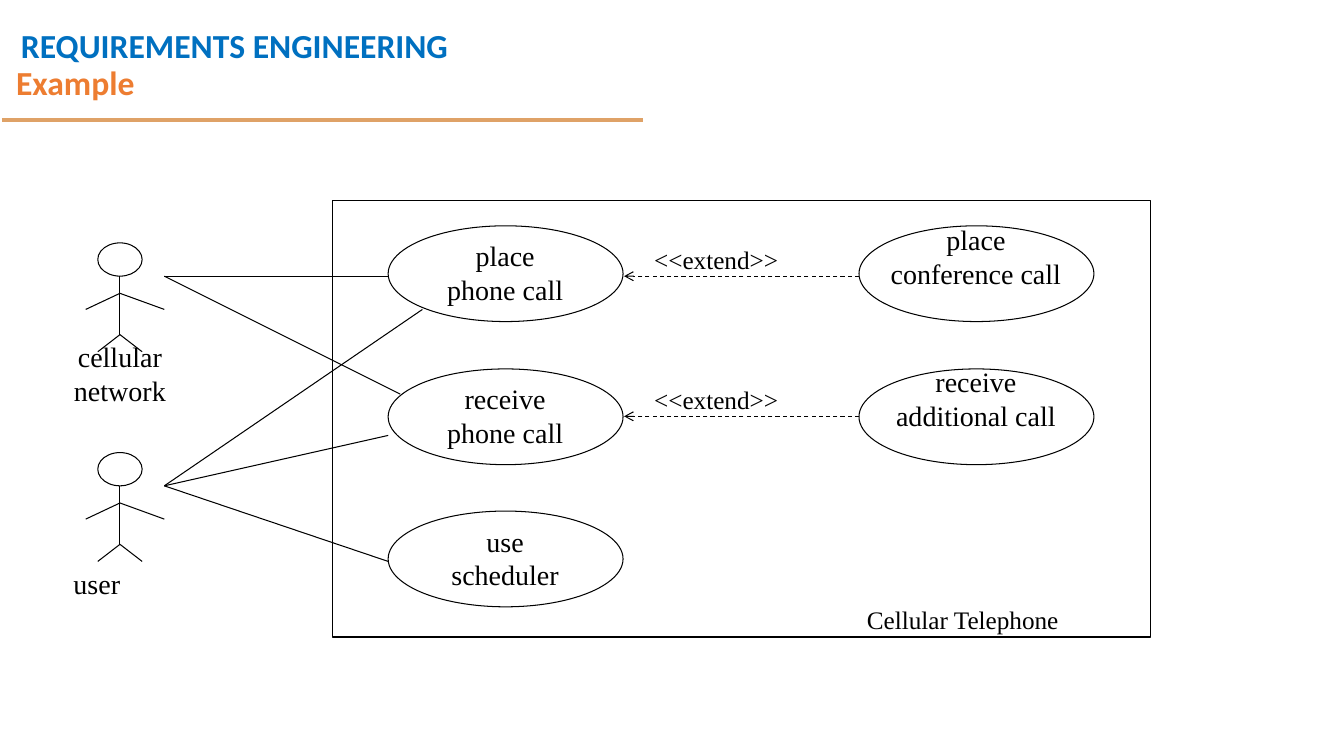
"""Build a use case diagram slide for a cellular telephone."""
from dataclasses import dataclass

import lxml.etree
import pptx
import pptx.dml.color
import pptx.enum.dml
import pptx.enum.shapes
import pptx.enum.text
import pptx.oxml.ns
import pptx.util

PX = 9144
BLACK = "000000"
SERIF = "Times New Roman"
SHAPE = pptx.enum.shapes.MSO_SHAPE
ALIGN = pptx.enum.text.PP_ALIGN
USE_CASE_SIZE = (233, 95)
LABEL_SIZE = (214, 77)


@dataclass(frozen=True)
class UseCase:
    left: int
    top: int
    lines: tuple[str, ...]
    label_shift: int = 8


@dataclass(frozen=True)
class Actor:
    top: int
    lines: tuple[str, ...]
    label: tuple[int, int, int, int]
    align: ALIGN


@dataclass(frozen=True)
class Link:
    start: tuple[int, int]
    end: tuple[int, int]


USE_CASES = (
    UseCase(385, 224, ("place", "phone call")),
    UseCase(385, 366, ("receive", "phone call")),
    UseCase(385, 507, ("use", "scheduler")),
    UseCase(852, 224, ("place", "conference call"), -8),
    UseCase(852, 366, ("receive", "additional call"), -9),
)
ACTORS = (
    Actor(241, ("cellular", "network"), (41, 332, 156, 77), ALIGN.CENTER),
    Actor(449, ("user",), (63, 557, 113, 43), ALIGN.LEFT),
)
NETWORK_HAND = (163, 274)
USER_HAND = (163, 482)
LINKS = (
    Link(NETWORK_HAND, (385, 274)),
    Link(NETWORK_HAND, (397, 391)),
    Link(USER_HAND, (419, 307)),
    Link(USER_HAND, (385, 432)),
    Link(USER_HAND, (385, 557)),
)
LIMBS = (
    Link((119, 33), (119, 91)),
    Link((119, 50), (163, 66)),
    Link((119, 50), (85, 66)),
    Link((119, 91), (141, 108)),
    Link((119, 91), (97, 108)),
)
EXTEND_LEVELS = (274, 413)


def px(value: int) -> pptx.util.Emu:
    """Turn pixels into EMU."""
    return pptx.util.Emu(value * PX)


def color(value: str) -> pptx.dml.color.RGBColor:
    """Turn a hex string into a colour."""
    return pptx.dml.color.RGBColor.from_string(value)


def write(box, lines: tuple[str, ...], *, size: int = 20, font: str = SERIF,
          fill: str = BLACK, bold: bool = False, align: ALIGN = ALIGN.LEFT,
          spacing: float = 1.0, wrap: bool = True) -> None:
    """Fill a box with one formatted paragraph per line."""
    frame = box.text_frame
    frame.word_wrap = wrap
    frame.auto_size = pptx.enum.text.MSO_AUTO_SIZE.NONE
    for index, line in enumerate(lines):
        para = frame.add_paragraph() if index else frame.paragraphs[0]
        para.alignment = align
        para.line_spacing = spacing
        span = para.add_run()
        span.text = line
        span.font.size = pptx.util.Pt(size)
        span.font.name = font
        span.font.bold = bold
        span.font.color.rgb = color(fill)


def add_text(page, left: int, top: int, width: int, height: int,
             lines: tuple[str, ...], **style) -> None:
    """Add a text box."""
    box = page.shapes.add_textbox(px(left), px(top), px(width), px(height))
    write(box, lines, **style)


def add_outline(page, kind: SHAPE, left: int, top: int, width: int, height: int) -> None:
    """Add an unfilled shape with a thin black outline."""
    shape = page.shapes.add_shape(kind, px(left), px(top), px(width), px(height))
    shape.shadow.inherit = False
    shape.fill.background()
    shape.line.color.rgb = color(BLACK)
    shape.line.width = pptx.util.Pt(0.75)


def add_line(page, link: Link, *, shift: int = 0, stroke: str = BLACK,
             weight: float = 0.75, dashed_arrow: bool = False) -> None:
    """Add a straight line, optionally as a dashed arrow."""
    (x1, y1), (x2, y2) = link.start, link.end
    line = page.shapes.add_connector(
        pptx.enum.shapes.MSO_CONNECTOR.STRAIGHT,
        px(x1), px(y1 + shift), px(x2), px(y2 + shift))
    line.line.color.rgb = color(stroke)
    line.line.width = pptx.util.Pt(weight)
    properties = line._element.spPr
    if dashed_arrow:
        line.line.dash_style = pptx.enum.dml.MSO_LINE.DASH
        outline = properties.find(pptx.oxml.ns.qn("a:ln"))
        lxml.etree.SubElement(outline, pptx.oxml.ns.qn("a:tailEnd"), type="arrow")
    lxml.etree.SubElement(properties, pptx.oxml.ns.qn("a:effectLst"))


def add_header(page) -> None:
    """Add the course heading, its rule and the slide title."""
    add_text(page, 11, 0, 461, 64, ("REQUIREMENTS ENGINEERING",), size=24,
             font="Calibri", fill="0070C0", bold=True, spacing=1.5)
    add_line(page, Link((2, 119), (638, 119)), stroke="DFA267", weight=3)
    title = page.shapes.title
    title.left, title.top, title.width, title.height = map(px, (6, 40, 1150, 88))
    title.text_frame.vertical_anchor = pptx.enum.text.MSO_ANCHOR.MIDDLE
    write(title, ("Example",), size=24, font="Calibri", fill="ED7D31",
          bold=True, spacing=0.9)


def add_actor(page, actor: Actor) -> None:
    """Add a stick figure with its name."""
    add_outline(page, SHAPE.OVAL, 97, actor.top, 44, 33)
    for limb in LIMBS:
        add_line(page, limb, shift=actor.top)
    add_text(page, *actor.label, actor.lines, align=actor.align)


def add_use_case(page, case: UseCase) -> None:
    """Add an ellipse with its label."""
    add_outline(page, SHAPE.OVAL, case.left, case.top, *USE_CASE_SIZE)
    add_text(page, case.left + 9, case.top + case.label_shift, *LABEL_SIZE,
             case.lines, align=ALIGN.CENTER)


def main() -> None:
    """Build and save the deck."""
    deck = pptx.Presentation()
    deck.slide_width, deck.slide_height = px(1333), px(750)
    page = deck.slides.add_slide(deck.slide_layouts.get_by_name("Title Only"))
    add_header(page)
    for actor in ACTORS:
        add_actor(page, actor)
    for case in USE_CASES:
        add_use_case(page, case)
    for link in LINKS:
        add_line(page, link)
    for level in EXTEND_LEVELS:
        add_line(page, Link((852, level), (619, level)), dashed_arrow=True)
        add_text(page, 639, level - 37, 144, 40, ("<<extend>>",), size=18, wrap=False)
    add_outline(page, SHAPE.RECTANGLE, 330, 199, 811, 433)
    add_text(page, 850, 595, 212, 40, ("Cellular Telephone",), size=18, wrap=False)
    deck.save("out.pptx")


if __name__ == "__main__":
    main()
